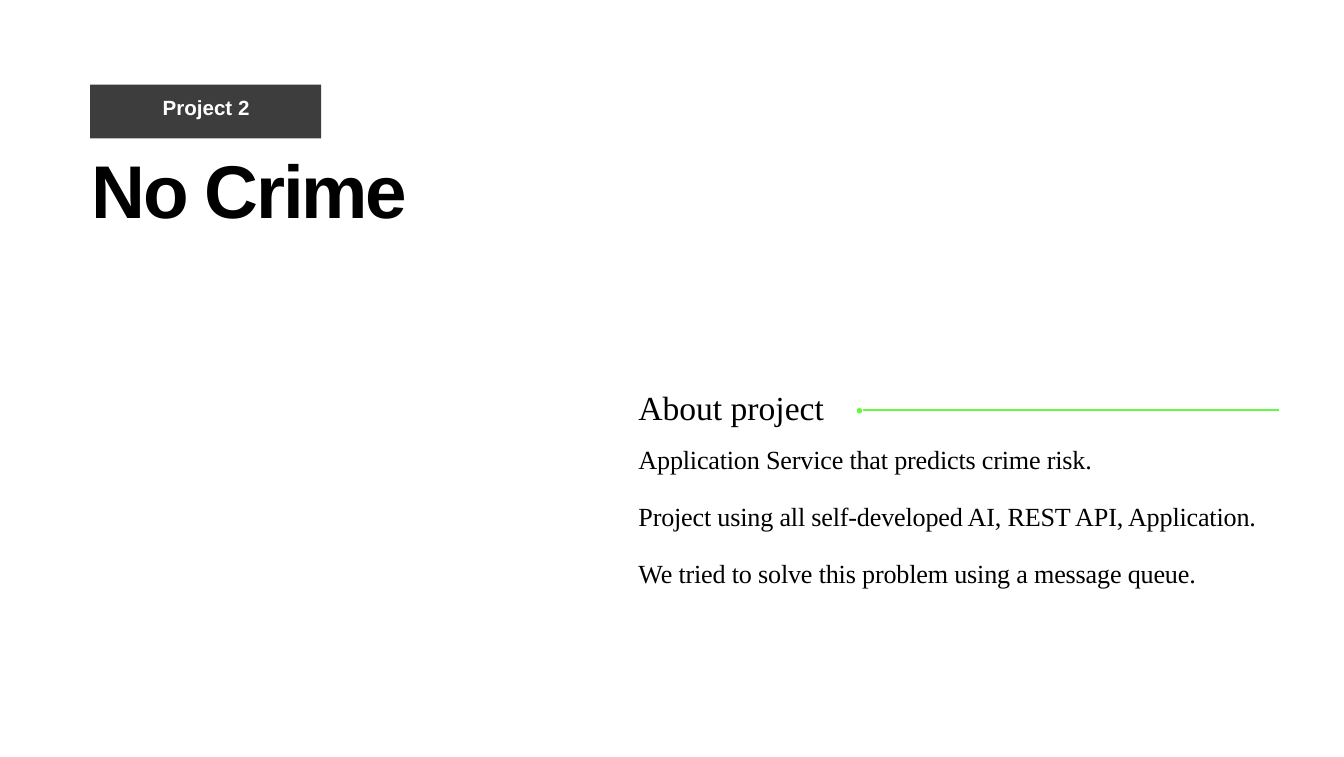
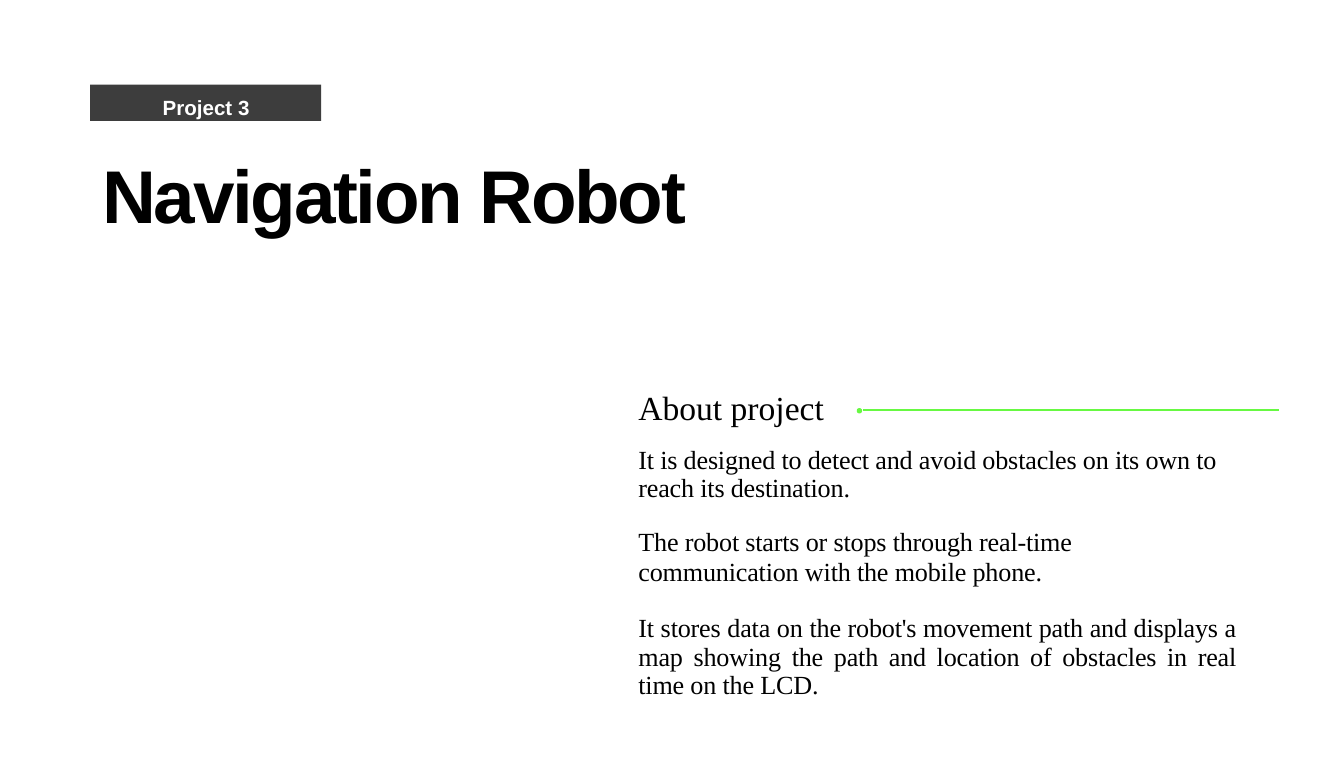
from dataclasses import dataclass

from lxml import etree
from pptx import Presentation
from pptx import util as u
from pptx.dml.color import RGBColor
from pptx.enum import shapes, text
from pptx.oxml import ns


@dataclass(frozen=True)
class Theme:
    ink: RGBColor = RGBColor(0, 0, 0)
    paper: RGBColor = RGBColor(255, 255, 255)
    badge: RGBColor = RGBColor(0x3D, 0x3D, 0x3D)
    accent: RGBColor = RGBColor(0x67, 0xF9, 0x42)
    head_font: str = "Arial"
    body_font: str = "Times New Roman"
    title_size: float = 40
    heading_size: float = 18
    body_size: float = 14
    badge_size: float = 11
    rule_width: float = 0.72


theme = Theme()


def prepare_frame(shape, left, top, width, height, inset_left, inset_top):
    """Place a shape and give its text frame fixed, top-anchored settings."""
    shape.left, shape.top = u.Inches(left), u.Inches(top)
    shape.width, shape.height = u.Inches(width), u.Inches(height)
    frame = shape.text_frame
    frame.margin_left, frame.margin_top = u.Inches(inset_left), u.Inches(inset_top)
    frame.margin_right = frame.margin_bottom = 0
    frame.word_wrap = True
    frame.auto_size = text.MSO_AUTO_SIZE.NONE
    frame.vertical_anchor = text.MSO_ANCHOR.TOP
    return frame


def write_paragraph(paragraph, words, font, size, color, before, bold=False,
                    spacing=0, line=1.0, align=text.PP_ALIGN.LEFT):
    """Fill a paragraph with one run, unbulleted; spacing is in points."""
    paragraph.alignment = align
    paragraph.space_before, paragraph.space_after = u.Pt(before), u.Pt(0)
    paragraph.line_spacing = line
    properties = paragraph._p.get_or_add_pPr()
    properties.set("marL", "0")
    properties.set("indent", "0")
    etree.SubElement(properties, ns.qn("a:buNone"))
    run = paragraph.add_run()
    run.text = words
    run.font.name, run.font.size, run.font.bold = font, u.Pt(size), bold
    run.font.color.rgb = color
    run._r.get_or_add_rPr().set("spc", str(round(spacing * 100)))


left_align, justify = text.PP_ALIGN.LEFT, text.PP_ALIGN.JUSTIFY

# Each body line: words, space before, line spacing, alignment
projects = [
    dict(badge="Project 2", badge_height=0.4, title="No Crime",
         title_box=(0.67, 1.05, 2.41, 0.7), body_box=(4.74, 2.72, 4.72, 1.66),
         lines=[
             ("Application Service that predicts crime risk.", 8.3, 1.0, left_align),
             ("Project using all self-developed AI, REST API, Application.",
              13.9, 1.0, left_align),
             ("We tried to solve this problem using a message queue.",
              13.9, 1.0, left_align),
         ]),
    dict(badge="Project 3", badge_height=0.27, title="Navigation Robot",
         title_box=(0.75, 1.09, 4.45, 0.7), body_box=(4.74, 2.72, 4.46, 2.5),
         lines=[
             ("It is designed to detect and avoid obstacles on its own to "
              "reach its destination.", 10.2, u.Pt(15.1), left_align),
             ("The robot starts or stops through real-time",
              13, u.Pt(15.8), left_align),
             ("communication with the mobile phone.", 0, u.Pt(15.8), left_align),
             ("It stores data on the robot's movement path and displays a map "
              "showing the path and location of obstacles in real time on the LCD.",
              15.5, u.Pt(15), justify),
         ]),
]

presentation = Presentation()
presentation.slide_width, presentation.slide_height = u.Inches(10), u.Inches(5.63)
title_and_content = presentation.slide_layouts[1]

for project in projects:
    slide = presentation.slides.add_slide(title_and_content)
    slide.background.fill.solid()
    slide.background.fill.fore_color.rgb = theme.paper

    badge = slide.shapes.add_shape(shapes.MSO_SHAPE.RECTANGLE, 0, 0, 0, 0)
    badge.shadow.inherit = False
    badge.fill.solid()
    badge.fill.fore_color.rgb = theme.badge
    badge.line.fill.background()
    frame = prepare_frame(badge, 0.67, 0.63, 1.72, project["badge_height"], 0.54, 0.08)
    write_paragraph(frame.paragraphs[0], project["badge"], theme.head_font,
                    theme.badge_size, theme.paper, before=6, bold=True)

    frame = prepare_frame(slide.shapes.title, *project["title_box"], 0.01, 0.02)
    write_paragraph(frame.paragraphs[0], project["title"], theme.head_font,
                    theme.title_size, theme.ink, before=1.1, bold=True, spacing=-1.2)

    rule = slide.shapes.add_connector(shapes.MSO_CONNECTOR.STRAIGHT, u.Inches(6.42),
                                      u.Inches(3.05), u.Inches(9.52), u.Inches(3.05))
    rule.line.color.rgb = theme.accent
    rule.line.width = u.Pt(theme.rule_width)
    etree.SubElement(rule._element.spPr, ns.qn("a:effectLst"))

    dot = slide.shapes.add_shape(shapes.MSO_SHAPE.OVAL, u.Inches(6.38), u.Inches(3.04),
                                 u.Inches(0.03), u.Inches(0.03))
    dot.shadow.inherit = False
    dot.fill.solid()
    dot.fill.fore_color.rgb = theme.accent
    dot.line.color.rgb = theme.accent
    dot.line.width = u.Pt(theme.rule_width)

    frame = prepare_frame(slide.placeholders[1], *project["body_box"], 0.01, 0.16)
    write_paragraph(frame.paragraphs[0], "About project", theme.body_font,
                    theme.heading_size, theme.ink, before=11.8)
    for words, before, line, align in project["lines"]:
        write_paragraph(frame.add_paragraph(), words, theme.body_font, theme.body_size,
                        theme.ink, before, spacing=-0.1, line=line, align=align)

presentation.save("out.pptx")
